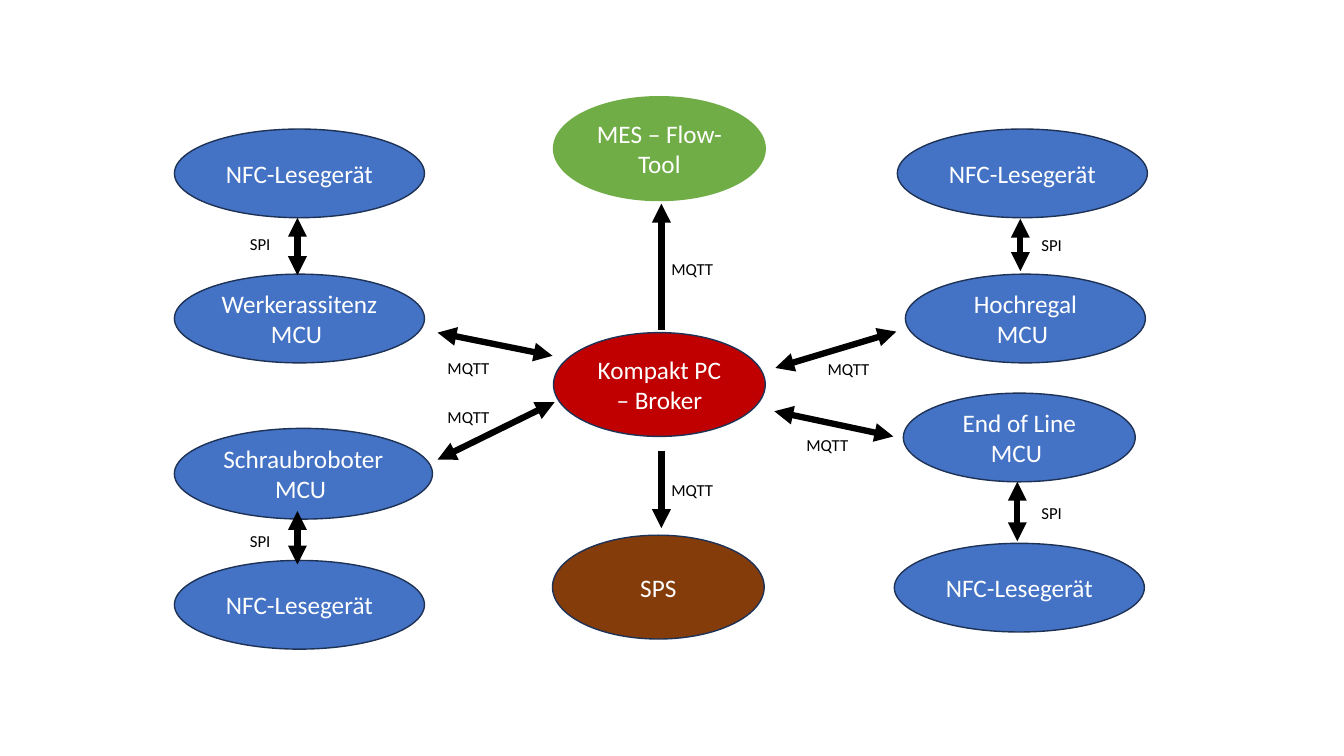
from pptx import Presentation
from pptx import util as u
from pptx.dml.color import RGBColor
from pptx.enum import shapes, text
from pptx.oxml.ns import qn
from lxml import etree

# Grid: one column and one row are one inch each
COLS, ROWS = 13.33, 7.5
COLORS = {
    "white": "FFFFFF", "black": "000000", "outline": "1E3256",
    "device": "4472C4", "broker": "C00000", "plc": "843C0B", "mes": "70AD47",
}
READER = (2.48, 0.88)
HUB_NODE = (2.1, 1.03)
LABEL = (0.83, 0.3)


def rgb(name):
    return RGBColor.from_string(COLORS[name])


def inches(*values):
    return [u.Inches(v) for v in values]


def write(tf, words, size, color, align):
    tf.word_wrap = True
    p = tf.paragraphs[0]
    p.alignment = align
    r = p.add_run()
    r.text = words
    for key, value in {"size": u.Pt(size), "name": "Calibri"}.items():
        setattr(r.font, key, value)
    r.font.color.rgb = rgb(color)


def node(s, x, y, size, words, fill, outline="outline"):
    sp = s.shapes.add_shape(shapes.MSO_SHAPE.OVAL, *inches(x, y, *size))
    sp.shadow.inherit = False
    sp.fill.solid()
    sp.fill.fore_color.rgb = rgb(fill)
    sp.line.color.rgb = rgb(outline)
    sp.line.width = u.Pt(1)
    sp.text_frame.vertical_anchor = text.MSO_ANCHOR.MIDDLE
    write(sp.text_frame, words, 18, "white", text.PP_ALIGN.CENTER)


def label(s, x, y, words):
    tb = s.shapes.add_textbox(*inches(x, y, *LABEL))
    write(tb.text_frame, words, 12, "black", text.PP_ALIGN.LEFT)


def arrow(s, x1, y1, x2, y2, ends):
    cn = s.shapes.add_connector(shapes.MSO_CONNECTOR.STRAIGHT, *inches(x1, y1, x2, y2))
    cn.line.color.rgb = rgb("black")
    cn.line.width = u.Pt(4.5)
    ln = cn.line._get_or_add_ln()
    for end in ends:
        etree.SubElement(ln, qn(f"a:{end}"), type="triangle")
    etree.SubElement(cn._element.spPr, qn("a:effectLst"))


def hub(s, x, y):
    """Broker column with its MQTT links, placed from the top left of its box."""
    node(s, x + 1.15, y + 2.34, HUB_NODE, "Kompakt PC – Broker", "broker")
    node(s, x + 1.14, y + 4.35, HUB_NODE, "SPS", "plc")
    node(s, x + 1.15, y, HUB_NODE, "MES – Flow-Tool", "mes", "mes")

    one_way, both = ["tailEnd"], ["headEnd", "tailEnd"]
    links = [  # from, to, label, arrowheads
        ((2.22, 3.51), (2.22, 4.28), (2.22, 3.75), one_way),
        ((2.22, 2.31), (2.22, 1.06), (2.22, 1.56), one_way),
        ((0, 2.34), (1.14, 2.57), (0, 2.54), both),
        ((4.52, 3.37), (3.34, 3.12), (3.56, 3.3), both),
        ((0, 3.6), (1.16, 3.03), (0, 3.03), both),
        ((4.55, 2.33), (3.35, 2.69), (3.77, 2.55), both),
    ]
    for (x1, y1), (x2, y2), (lx, ly), ends in links:
        arrow(s, x + x1, y + y1, x + x2, y + y2, ends)
        label(s, x + lx, y + ly, "MQTT")


def station(s, x, y, name, mcu, mcu_size, reader_y, spi, spi_label):
    """Controller and NFC reader joined by SPI, placed from the top left of its box."""
    node(s, x + mcu[0], y + mcu[1], mcu_size, f"{name} MCU ", "device")
    node(s, x, y + reader_y, READER, "NFC-Lesegerät", "device")
    middle = x + 1.22
    arrow(s, middle, y + spi[0], middle, y + spi[1], ["headEnd", "tailEnd"])
    label(s, x + spi_label[0], y + spi_label[1], "SPI")


def main():
    prs = Presentation()
    prs.slide_width, prs.slide_height = inches(COLS, ROWS)
    s = prs.slides.add_slide(prs.slide_layouts[6])

    # Centre
    hub(s, 4.34, 0.96)

    # Stations on the left, then on the right
    station(s, 1.73, 1.28, "Werkerassitenz", (0, 1.44), (2.48, 0.88), 0,
            (0.88, 1.45), (0.65, 0.99))
    station(s, 1.73, 4.25, "Schraubroboter", (0, 0), (2.56, 0.9), 1.31,
            (0.82, 1.35), (0.65, 0.97))
    station(s, 8.9, 1.28, "Hochregal", (0.08, 1.44), (2.38, 0.88), 0,
            (0.89, 1.41), (1.33, 1))
    station(s, 8.87, 3.9, "End of Line", (0.09, 0), (2.3, 0.88), 1.49,
            (0.88, 1.47), (1.36, 1.04))

    prs.save("out.pptx")


if __name__ == "__main__":
    main()
